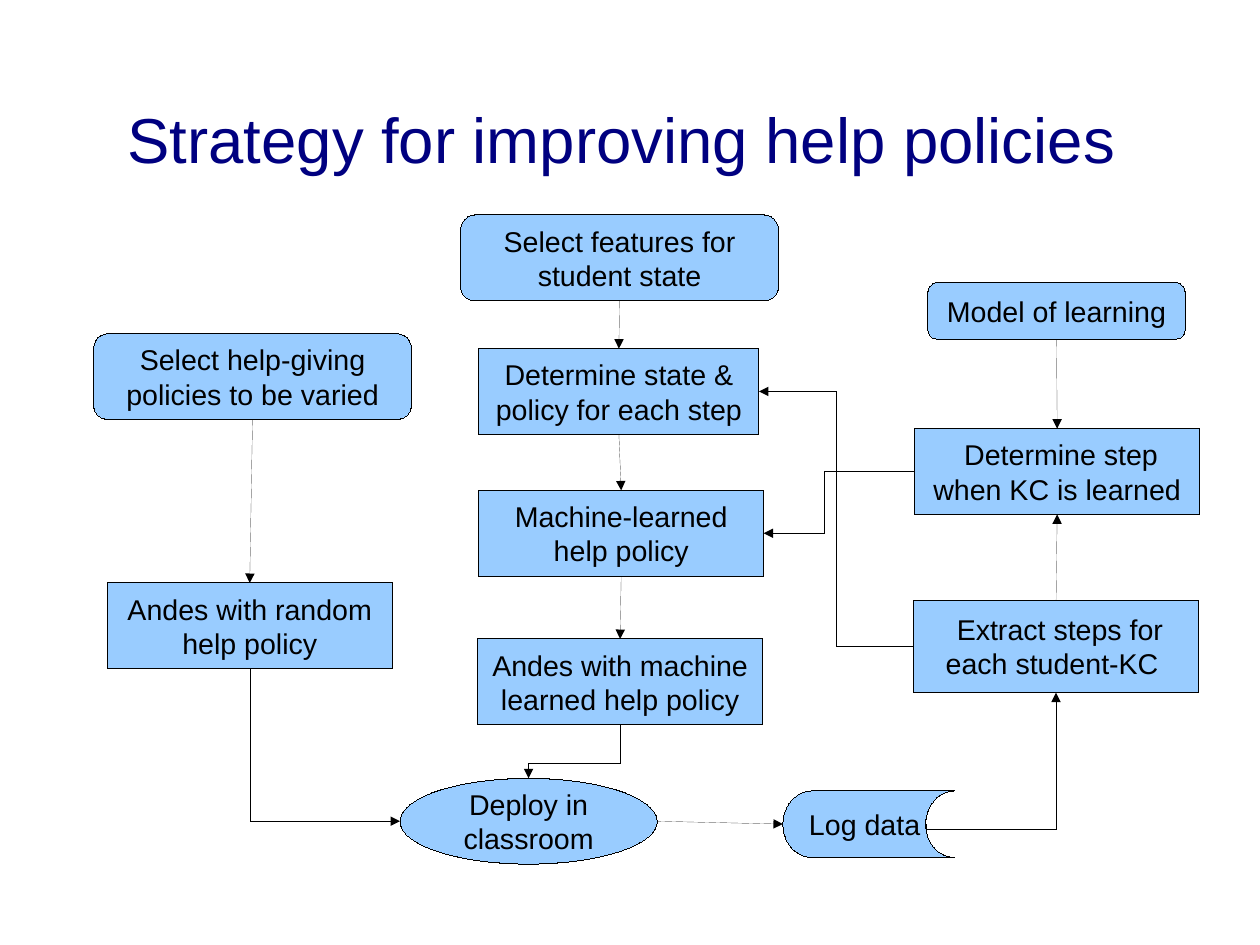
from lxml.etree import SubElement
from pptx import Presentation
from pptx.dml.color import RGBColor
from pptx.enum.shapes import MSO_CONNECTOR, MSO_SHAPE
from pptx.enum.text import MSO_ANCHOR, PP_ALIGN
from pptx.oxml.ns import qn
from pptx.util import Pt

RECT = MSO_SHAPE.RECTANGLE
ROUND = MSO_SHAPE.ROUNDED_RECTANGLE
OVAL = MSO_SHAPE.OVAL
STORE = MSO_SHAPE.FLOWCHART_STORED_DATA
LINE = MSO_CONNECTOR.STRAIGHT
ELBOW = MSO_CONNECTOR.ELBOW
MIDDLE = MSO_ANCHOR.MIDDLE
CENTER = PP_ALIGN.CENTER
TOP, LEFT, BOTTOM, RIGHT = (0.5, 0), (0, 0.5), (0.5, 1), (1, 0.5)
INNER = (5 / 6, 0.5)


def color(value):
    return RGBColor.from_string(value)


def write(shape, text, size, tint, wrap=True):
    frame = shape.text_frame
    frame.word_wrap = wrap
    frame.vertical_anchor = MIDDLE
    para = frame.paragraphs[0]
    para.text = text
    para.alignment = CENTER
    para.font.name = "Arial"
    para.font.size = Pt(size)
    para.font.color.rgb = color(tint)


def hairline(shape):
    shape.line.color.rgb = color("000000")
    line = shape.element.spPr.find(qn("a:ln"))
    line.set("w", "0")
    return line


def node(slide, kind, text, left, top, width, height, wrap=True):
    shape = slide.shapes.add_shape(kind, Pt(left), Pt(top), Pt(width), Pt(height))
    shape.shadow.inherit = False
    shape.fill.solid()
    shape.fill.fore_color.rgb = color("99CCFF")
    hairline(shape)
    write(shape, text, 18, "000000", wrap)
    return shape


def point(shape, side):
    return (shape.left.pt + side[0] * shape.width.pt,
            shape.top.pt + side[1] * shape.height.pt)


def arrow(slide, kind, start, end):
    link = slide.shapes.add_connector(kind, *[Pt(v) for v in (*start, *end)])
    SubElement(hairline(link), qn("a:tailEnd"), type="triangle")
    SubElement(link.element.spPr, qn("a:effectLst"))
    return link


def join(slide, first, second, up=False):
    link = arrow(slide, LINE, (0, 0), (0, 0))
    link.begin_connect(first, 0 if up else 2)
    link.end_connect(second, 2 if up else 0)


def bend(link, share):
    shape = link.element.spPr.find(qn("a:prstGeom"))
    guides = shape.find(qn("a:avLst"))
    SubElement(guides, qn("a:gd"), name="adj1", fmla=f"val {round(share * 100000)}")


def across(slide, start, end, turn):
    link = arrow(slide, ELBOW, start, end)
    bend(link, (turn - start[0]) / (end[0] - start[0]))


def upright(slide, start, end, turn=None):
    dx, dy = end[0] - start[0], end[1] - start[1]
    mid = (start[0] + dx / 2, start[1] + dy / 2)
    half = [abs(dy) / 2, abs(dx) / 2]
    if dx > 0:
        half[0] = -half[0]
    if dx > 0 and dy < 0:
        half[1] = -half[1]
    link = arrow(slide, ELBOW, (mid[0] - half[0], mid[1] - half[1]),
                 (mid[0] + half[0], mid[1] + half[1]))
    angle = 270 if dx > 0 and dy > 0 else 90
    link.element.spPr.find(qn("a:xfrm")).set("rot", str(angle * 60000))
    if turn is None:
        link.element.spPr.find(qn("a:prstGeom")).set("prst", "bentConnector2")
    else:
        bend(link, (turn - start[1]) / dy)


def heading(slide, left, top, width, height):
    box = slide.shapes.add_textbox(Pt(left), Pt(top), Pt(width), Pt(height))
    write(box, "Strategy for improving help policies", 40, "000080")


def random_lane(slide, left, top, width, height):
    vary = node(slide, ROUND, "Select help-giving policies to be varied",
                left, top, width, 54)
    policy = node(slide, RECT, "Andes with random help policy",
                  left + 8.7, top + height - 54, 179.3, 54)
    join(slide, vary, policy)
    return policy


def learned_lane(slide, left, top, width, height):
    traits = node(slide, ROUND, "Select features for student state",
                  left, top, width, 54)
    state = node(slide, RECT, "Determine state & policy for each step",
                 left + 11.5, top + 84.2, 176.4, 54)
    learned = node(slide, RECT, "Machine-learned help policy",
                   left + 11.5, top + 173.5, 179.3, 54)
    policy = node(slide, RECT, "Andes with machine learned help policy",
                  left + 10.8, top + height - 54, 179.3, 54)
    join(slide, traits, state)
    join(slide, state, learned)
    join(slide, learned, policy)
    return state, learned, policy


def model_lane(slide, left, top, width, height):
    model = node(slide, ROUND, "Model of learning",
                 left + 9.3, top, 162, 36, False)
    step = node(slide, RECT, " Determine step when KC is learned",
                left + 0.7, top + 92.2, width, 54)
    extract = node(slide, RECT, " Extract steps for each student-KC ",
                   left, top + height - 58.3, width, 58.3)
    join(slide, model, step)
    join(slide, extract, step, True)
    return step, extract


def data_lane(slide, left, top, width, height):
    deploy = node(slide, OVAL, "Deploy in classroom", left, top, 162, height)
    log = node(slide, STORE, "Log data ",
               left + width - 108, top + 7.9, 108, 41.8, False)
    arrow(slide, LINE, point(deploy, RIGHT), point(log, LEFT))
    return deploy, log


def main():
    deck = Presentation()
    deck.slide_width, deck.slide_height = Pt(793.75), Pt(595.25)
    slide = deck.slides.add_slide(deck.slide_layouts[6])
    heading(slide, 54, 35.3, 674.6, 103)
    chance = random_lane(slide, 59, 210.2, 200.2, 211)
    state, learned, policy = learned_lane(slide, 290.2, 135.4, 200.2, 321.1)
    step, extract = model_lane(slide, 575.3, 177.8, 180, 258.5)
    deploy, log = data_lane(slide, 252, 490.3, 349.2, 54)
    upright(slide, point(chance, BOTTOM), point(deploy, LEFT))
    upright(slide, point(policy, BOTTOM), point(deploy, TOP), 481)
    upright(slide, point(log, INNER), point(extract, BOTTOM), 522)
    across(slide, point(step, LEFT), point(learned, RIGHT), 519.1)
    across(slide, point(extract, LEFT), point(state, RIGHT), 526.5)
    deck.save("out.pptx")


if __name__ == "__main__":
    main()
